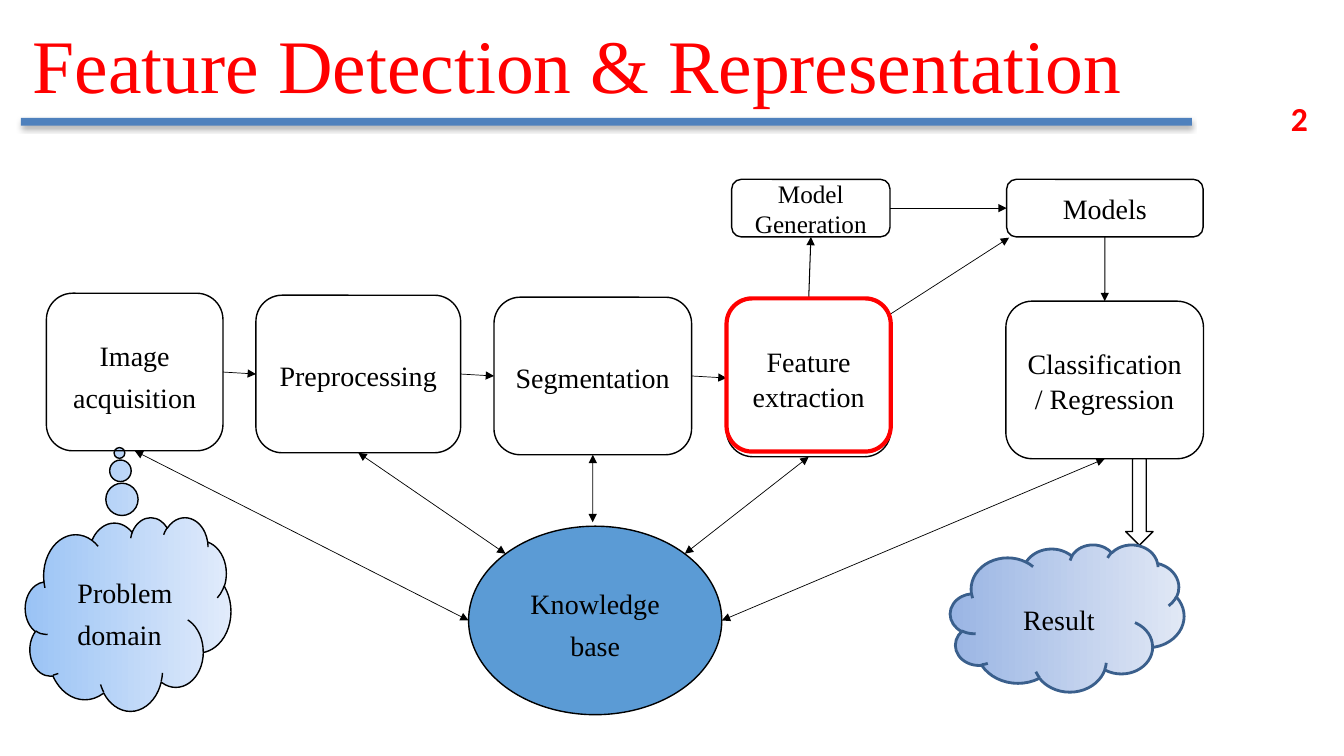
from lxml.etree import SubElement
from pptx import Presentation
from pptx.dml.color import RGBColor
from pptx.enum.shapes import MSO_CONNECTOR, MSO_SHAPE
from pptx.enum.text import MSO_ANCHOR, PP_ALIGN
from pptx.oxml.ns import qn
from pptx.util import Cm, Pt

BLACK = RGBColor(0, 0, 0)
WHITE = RGBColor(255, 255, 255)
RED = RGBColor(255, 0, 0)
BAR = RGBColor(0x4F, 0x81, 0xBD)
BLUE = RGBColor(0x5B, 0x9B, 0xD5)
NAVY = RGBColor(0x3A, 0x5F, 0x8C)
SKY = (RGBColor(0x9A, 0xC3, 0xF5), RGBColor(0xE1, 0xEB, 0xFB))
HAZE = (RGBColor(0x9A, 0xB5, 0xE4), RGBColor(0xE1, 0xE8, 0xF5))
SERIF = "Times New Roman"
TOP, BOTTOM, LEFT, RIGHT = 0, 2, 1, 3
DIAG = 0.146  # inset of an ellipse's diagonal point, as a share of its box


def write(frame, text, size, color=BLACK, font=SERIF, bold=False):
    frame.text = text
    run = frame.paragraphs[0].runs[0].font
    run.size, run.name, run.bold = Pt(size), font, bold
    run.color.rgb = color


def add_node(slide, kind, box, text="", size=20, fill=None, line=BLACK,
             width=1, gap=None, after=0):
    """Add an outlined shape; fill is a colour, a pair for a gradient, or None."""
    node = slide.shapes.add_shape(kind, *map(Cm, box))
    node.shadow.inherit = False
    if fill is None:
        node.fill.background()
    elif isinstance(fill, RGBColor):
        node.fill.solid()
        node.fill.fore_color.rgb = fill
    else:
        node.fill.gradient()
        node.fill.gradient_angle = 0
        for stop, color in zip(node.fill.gradient_stops, fill):
            stop.color.rgb = color
    node.line.color.rgb = line
    node.line.width = Pt(width)
    if text:
        frame = node.text_frame
        frame.word_wrap = True
        frame.vertical_anchor = MSO_ANCHOR.MIDDLE
        write(frame, text, size)
        para = frame.paragraphs[0]
        para.alignment = PP_ALIGN.CENTER
        para.line_spacing = gap
        para.space_after = Pt(after)
    return node


def add_arrow(slide, start, end, width=0.5, both=False):
    """Draw an arrow; each end is a (shape, side) pair or a point in cm."""
    link = slide.shapes.add_connector(MSO_CONNECTOR.STRAIGHT, 0, 0, 0, 0)
    if hasattr(start[0], "shape_id"):
        link.begin_connect(*start)
    else:
        link.begin_x, link.begin_y = map(Cm, start)
    if hasattr(end[0], "shape_id"):
        link.end_connect(*end)
    else:
        link.end_x, link.end_y = map(Cm, end)
    link.line.color.rgb = BLACK
    link.line.width = Pt(width)
    line = link.line._ln
    for tag in ("a:headEnd", "a:tailEnd") if both else ("a:tailEnd",):
        SubElement(line, qn(tag), type="triangle")
    SubElement(link._element.spPr, qn("a:effectLst"))


def add_header(slide, box):
    x, y, w, h = box
    bar = slide.shapes.add_shape(
        MSO_SHAPE.RECTANGLE, Cm(x - 0.05), Cm(y + 2.56), Cm(w + 0.45), Cm(0.2))
    bar.fill.solid()
    bar.fill.fore_color.rgb = BAR
    bar.line.fill.background()
    effects = SubElement(bar._element.spPr, qn("a:effectLst"))
    shade = SubElement(effects, qn("a:outerShdw"), blurRad="44450",
                       dist="27940", dir="5400000", rotWithShape="0")
    tone = SubElement(shade, qn("a:srgbClr"), val="000000")
    SubElement(tone, qn("a:alpha"), val="32000")

    title = slide.shapes.add_textbox(*map(Cm, box)).text_frame
    title.word_wrap = True
    title.vertical_anchor = MSO_ANCHOR.MIDDLE
    write(title, "Feature Detection & Representation", 54, RED)

    page = slide.shapes.add_textbox(
        Cm(x + 31.7), Cm(y + 1.93), Cm(1.5), Cm(1.27)).text_frame
    write(page, "2", 24, RED, "Calibri", True)


def add_stages(slide, box):
    """Place the row of stages, each a little lower than the one before."""
    x, y, w, h = box
    stages = [
        ("Image acquisition", 0, 4.45, 1.25, 0),
        ("Preprocessing", 5.28, 5.16, 1.06, 8),
        ("Segmentation", 11.28, 4.98, 1.05, 8),
        ("Feature extraction", 17.14, 4.14, 1.05, 8),
        ("Classification / Regression", 24.18, 4.98, 1.05, 8),
    ]
    nodes = [
        add_node(slide, MSO_SHAPE.ROUNDED_RECTANGLE,
                 (x + dx, y + 0.05 * i, wide, h), text, gap=gap, after=after)
        for i, (text, dx, wide, gap, after) in enumerate(stages)
    ]
    for a, b in zip(nodes[:3], nodes[1:4]):
        add_arrow(slide, (a, RIGHT), (b, LEFT))
    return nodes


def add_base(slide, box, stages):
    x, y, w, h = box
    add_node(slide, MSO_SHAPE.OVAL, box, "Knowledge base", fill=BLUE, gap=1.25)
    high = y + DIAG * h
    ends = [
        (x, y + h / 2),
        (x + DIAG * w, high),
        (x + 0.49 * w, y - 0.1),
        (x + w - DIAG * w, high),
        (x + w, y + h / 2),
    ]
    for stage, end in zip(stages, ends):
        add_arrow(slide, (stage, BOTTOM), end, both=True)


def add_models(slide, box, feature, classify):
    x, y, w, h = box
    kind = MSO_SHAPE.ROUNDED_RECTANGLE
    maker = add_node(slide, kind, (x, y, 3.99, h), "Model Generation", 18, WHITE)
    models = add_node(slide, kind, (x + w - 4.95, y, 4.95, h), "Models",
                      fill=WHITE)
    add_arrow(slide, (feature, TOP), (maker, BOTTOM), 0.75)
    add_arrow(slide, (maker, RIGHT), (models, LEFT))
    add_arrow(slide, (models, BOTTOM), (classify, TOP), 0.75)
    add_arrow(slide, (x + 3.99, y + 3.4), (x + w - 4.89, y + h + 0.02))


def add_problem(slide, box):
    cloud = add_node(slide, MSO_SHAPE.CLOUD_CALLOUT, box, "Problem domain",
                     fill=SKY, gap=1.25)
    cloud.adjustments[0], cloud.adjustments[1] = -0.042, -0.831
    cloud.text_frame.margin_left = Cm(0.6)
    cloud.text_frame.paragraphs[0].alignment = PP_ALIGN.JUSTIFY


def add_result(slide, box):
    x, y, w, h = box
    add_node(slide, MSO_SHAPE.DOWN_ARROW, (x + 4.42, y - 2.16, 0.69, 2.18),
             fill=WHITE)
    add_node(slide, MSO_SHAPE.CLOUD, box, "Result", fill=HAZE, line=NAVY,
             width=2, gap=1.25)


def main():
    deck = Presentation()
    deck.slide_width, deck.slide_height = Cm(33.87), Cm(19.05)
    slide = deck.slides.add_slide(deck.slide_layouts[6])
    add_header(slide, (0.58, 0.41, 29.06, 2.39))
    add_problem(slide, (0.64, 13.03, 5.18, 4.88))
    stages = add_stages(slide, (1.17, 7.39, 29.16, 3.97))
    add_base(slide, (11.81, 13.26, 6.38, 4.75), stages)
    add_result(slide, (23.95, 13.72, 5.89, 3.71))
    add_models(slide, (18.44, 4.52, 11.88, 1.45), stages[3], stages[4])
    add_node(slide, MSO_SHAPE.ROUNDED_RECTANGLE, (18.31, 7.52, 4.14, 3.86),
             line=RED, width=3)
    deck.save("out.pptx")


if __name__ == "__main__":
    main()
